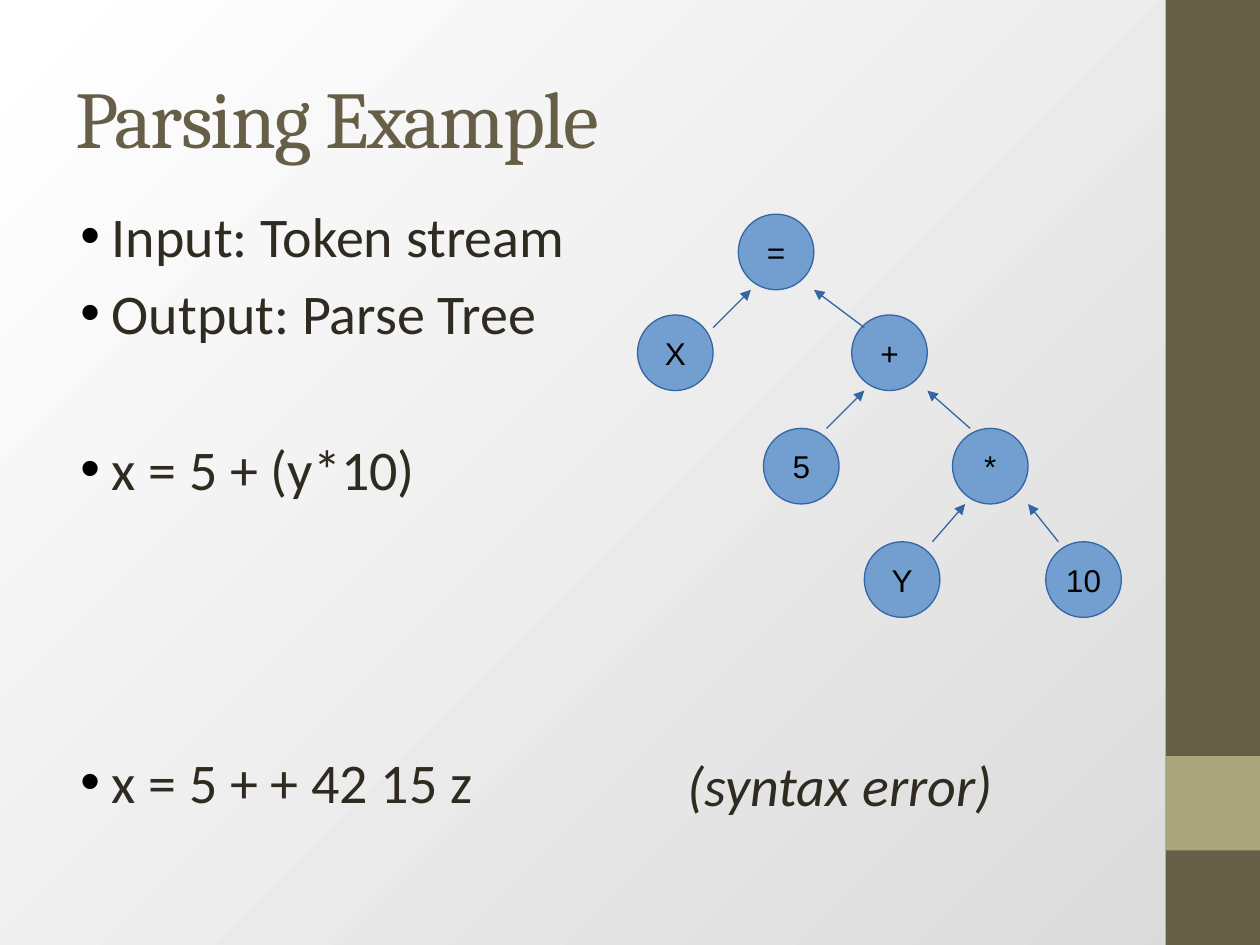
"""Build the parsing example slide: token stream bullets beside a parse tree."""
from pptx import Presentation
from pptx.dml.color import RGBColor
from pptx.enum.shapes import MSO_CONNECTOR as Link, MSO_SHAPE as Shape
from pptx.enum.text import MSO_ANCHOR as Anchor, PP_ALIGN as Align
from pptx.oxml.ns import qn
from pptx.util import Inches, Pt
from lxml.etree import SubElement

WHITE = RGBColor(0xFF, 0xFF, 0xFF)
GREY = RGBColor(0xDA, 0xDA, 0xDA)
BLACK = RGBColor(0, 0, 0)
BROWN = RGBColor(0x67, 0x5E, 0x47)
OLIVE = RGBColor(0xA9, 0xA5, 0x7C)
INK = RGBColor(0x2F, 0x2B, 0x20)
NODE_FILL = RGBColor(0x72, 0x9F, 0xCF)
NODE_LINE = RGBColor(0x34, 0x65, 0xA4)

TITLE = {"name": "Cambria", "size": Pt(46), "color": BROWN}
BODY = {"name": "Calibri", "size": Pt(32), "color": INK}
ERROR = {**BODY, "italic": True}
LABEL = {"name": "Arial", "size": Pt(18), "color": BLACK}

LINE_PITCH = 44.8
LINE_GAP = 5.8
BODY_TOP = 1.55
NODE_SIZE = 0.6

BULLETS = [
    (0, "Input: Token stream"),
    (1, "Output: Parse Tree"),
    (3, "x = 5 + (y*10)"),
    (7, "x = 5 + + 42 15 z"),
]
NODES = {
    "=": (5.86, 1.7),
    "X": (5.06, 2.5),
    "+": (6.76, 2.5),
    "5": (6.06, 3.4),
    "*": (7.56, 3.4),
    "Y": (6.86, 4.3),
    "10": (8.3, 4.3),
}
EDGES = [
    ("X", "=", 0.6, 0.1),
    ("+", "=", 0.1, 0.1),
    ("5", "+", 0.5, 0),
    ("*", "+", 0.14, 0),
    ("Y", "*", 0.54, 0),
    ("10", "*", 0.1, 0),
]


class SlideBuilder:
    """Hold the current page and draw each kind of element on it."""

    def __init__(self, page):
        self.page = page

    def background(self, start, end):
        """Fill the page with a diagonal gradient."""
        fill = self.page.background.fill
        fill.gradient()
        fill.gradient_angle = 315
        for stop, color in zip(fill.gradient_stops, (start, end)):
            stop.color.rgb = color

    def add_span(self, para, text, style):
        """Add a styled run to a paragraph."""
        span = para.add_run()
        span.text = text
        for name, value in style.items():
            if name == "color":
                span.font.color.rgb = value
            else:
                setattr(span.font, name, value)
        return span

    def shape(self, kind, bounds, fill, line=None):
        """Add a flat preset shape."""
        shape = self.page.shapes.add_shape(kind, *map(Inches, bounds))
        shape.shadow.inherit = False
        shape.fill.solid()
        shape.fill.fore_color.rgb = fill
        if line is None:
            shape.line.fill.background()
        else:
            shape.line.color.rgb = line
            shape.line.width = Pt(0.75)
        return shape

    def text_box(self, bounds, anchor=Anchor.TOP):
        """Add a wrapping text box and return its frame."""
        frame = self.page.shapes.add_textbox(*map(Inches, bounds)).text_frame
        frame.word_wrap = True
        frame.vertical_anchor = anchor
        return frame

    def bullets(self, bounds, items, style):
        """Add bullets placed on numbered lines."""
        frame = self.text_box(bounds)
        previous = 0
        for index, (row, text) in enumerate(items):
            para = frame.add_paragraph() if index else frame.paragraphs[0]
            if index:
                skipped = row - previous - 1
                para.space_before = Pt(round(LINE_GAP + skipped * LINE_PITCH, 1))
            previous = row
            self.add_span(para, text, style)
            props = para._p.get_or_add_pPr()
            props.set("marL", str(Inches(0.38)))
            props.set("indent", str(Inches(-0.25)))
            color = SubElement(props, qn("a:buClr"))
            SubElement(color, qn("a:srgbClr"), val=str(BLACK))
            SubElement(props, qn("a:buFont"), typeface="Arial")
            SubElement(props, qn("a:buChar"), char="•")

    def node(self, label, left, top):
        """Add a labelled circle of the tree."""
        bounds = (left, top, NODE_SIZE, NODE_SIZE)
        frame = self.shape(Shape.OVAL, bounds, NODE_FILL, NODE_LINE).text_frame
        frame.word_wrap = False
        frame.vertical_anchor = Anchor.MIDDLE
        para = frame.paragraphs[0]
        para.alignment = Align.CENTER
        self.add_span(para, label, LABEL)

    def arrow(self, start, end):
        """Add a thin arrow between two points."""
        arrow = self.page.shapes.add_connector(
            Link.STRAIGHT, *map(Inches, (*start, *end)))
        arrow.line.color.rgb = NODE_LINE
        arrow.line.width = Pt(0.75)
        SubElement(arrow.line._get_or_add_ln(), qn("a:tailEnd"), type="triangle")
        SubElement(arrow._element.spPr, qn("a:effectLst"))

    def edge(self, child, parent, across, down):
        """Point an arrow from a child node to its parent."""
        (left, top), (parent_left, parent_top) = NODES[child], NODES[parent]
        reach = 0.1 if left < parent_left else NODE_SIZE
        self.arrow((left + across, top + down),
                   (parent_left + reach, parent_top + NODE_SIZE))


def main():
    deck = Presentation()
    deck.slide_width, deck.slide_height = Inches(10), Inches(7.5)
    builder = SlideBuilder(deck.slides.add_slide(deck.slide_layouts[6]))
    builder.background(WHITE, GREY)
    builder.shape(Shape.RECTANGLE, (9.25, 0, 0.75, 7.5), BROWN)
    builder.shape(Shape.RECTANGLE, (9.25, 6, 0.75, 0.75), OLIVE)

    title = builder.text_box((0.5, 0.3, 8.33, 1.25), Anchor.MIDDLE)
    span = builder.add_span(title.paragraphs[0], "Parsing Example", TITLE)
    span._r.get_or_add_rPr().set("spc", "-100")

    builder.bullets((0.41, BODY_TOP, 8.33, 5.25), BULLETS, BODY)
    error_top = round(BODY_TOP + BULLETS[-1][0] * LINE_PITCH / 72, 2)
    error = builder.text_box((5.36, error_top, 3.2, 0.65))
    builder.add_span(error.paragraphs[0], "(syntax error)", ERROR)

    for label, corner in NODES.items():
        builder.node(label, *corner)
    for edge in EDGES:
        builder.edge(*edge)
    deck.save("out.pptx")


if __name__ == "__main__":
    main()
